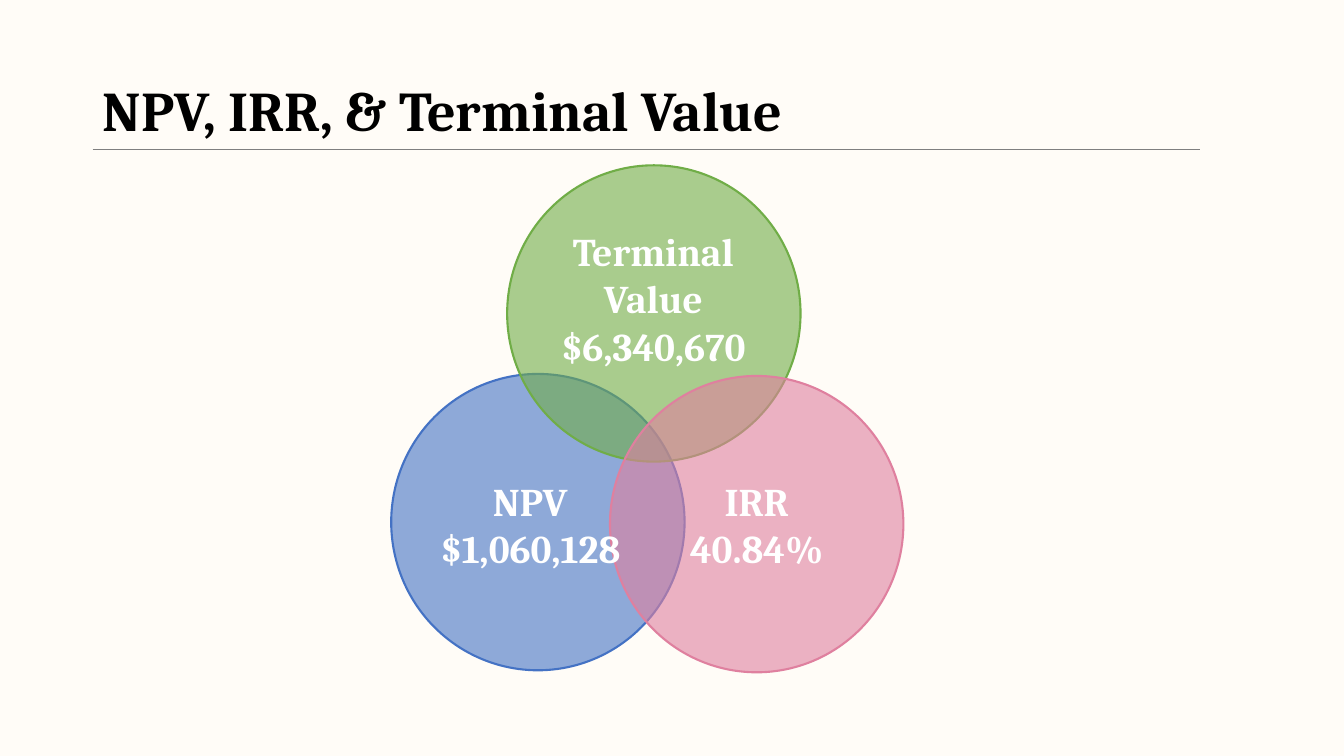
from lxml.etree import SubElement
from pptx import Presentation
from pptx.dml.color import RGBColor
from pptx.enum.shapes import MSO_CONNECTOR, MSO_SHAPE
from pptx.enum.text import MSO_ANCHOR, PP_ALIGN
from pptx.oxml.ns import qn
from pptx.util import Inches, Pt


def rgb(value):
    return RGBColor.from_string(value)


def write(frame, *lines, size=28, color="FFFFFF", align=PP_ALIGN.CENTER,
          anchor=MSO_ANCHOR.TOP, spacing=1.0):
    """Fill a text frame with one bold paragraph per line."""
    frame.word_wrap = True
    frame.vertical_anchor = anchor
    for index, line in enumerate(lines):
        paragraph = frame.add_paragraph() if index else frame.paragraphs[0]
        paragraph.alignment = align
        paragraph.line_spacing = spacing
        run = paragraph.add_run()
        run.text = line
        run.font.name = "Cambria"
        run.font.size = Pt(size)
        run.font.bold = True
        run.font.color.rgb = rgb(color)


class VennSlide:
    BACKGROUND = "FFFCF7"
    RULE = "7F7F7F"
    CIRCLE_SIZE = Inches(2.91), Inches(2.94)
    OPACITY = 60

    def __init__(self, deck):
        self.slide = deck.slides.add_slide(deck.slide_layouts[5])
        fill = self.slide.background.fill
        fill.solid()
        fill.fore_color.rgb = rgb(self.BACKGROUND)

    def title(self, wording):
        title = self.slide.shapes.title
        title.left, title.top = Inches(0.92), Inches(0.4)
        title.width, title.height = Inches(11.5), Inches(1.45)
        write(title.text_frame, wording, size=40, color="000000",
              align=PP_ALIGN.LEFT, anchor=MSO_ANCHOR.MIDDLE, spacing=0.9)

    def circle(self, left, top, color):
        circle = self.slide.shapes.add_shape(
            MSO_SHAPE.OVAL, Inches(left), Inches(top), *self.CIRCLE_SIZE)
        circle.shadow.inherit = False
        circle.fill.solid()
        circle.fill.fore_color.rgb = rgb(color)
        fill_color = circle.fill._xPr.find(qn("a:solidFill"))[0]
        SubElement(fill_color, qn("a:alpha"), val=str(self.OPACITY * 1000))
        circle.line.color.rgb = rgb(color)
        circle.line.width = Pt(1.5)
        return circle

    def label(self, left, top, height, *lines):
        box = self.slide.shapes.add_textbox(
            Inches(left), Inches(top), Inches(2.44), Inches(height))
        write(box.text_frame, *lines)

    def rule(self, left, right, y):
        rule = self.slide.shapes.add_connector(
            MSO_CONNECTOR.STRAIGHT, Inches(left), Inches(y), Inches(right), Inches(y))
        rule.line.color.rgb = rgb(self.RULE)
        rule.line.width = Pt(0.5)
        SubElement(rule._element.spPr, qn("a:effectLst"))


def main():
    deck = Presentation()
    deck.slide_width, deck.slide_height = Inches(13.33), Inches(7.5)

    venn = VennSlide(deck)
    venn.title("NPV, IRR, & Terminal Value")
    venn.circle(3.88, 3.71, "4472C4")
    venn.circle(5.03, 1.64, "70AD47")
    irr = venn.circle(6.05, 3.73, "DF809F")
    write(irr.text_frame, "IRR", "40.84%", anchor=MSO_ANCHOR.MIDDLE)
    venn.label(4.04, 4.69, 1.04, "NPV", "$1,060,128")
    venn.label(5.26, 2.21, 1.51, "Terminal Value", "$6,340,670")
    venn.rule(0.92, 11.9, 1.48)

    deck.save("out.pptx")


if __name__ == "__main__":
    main()
